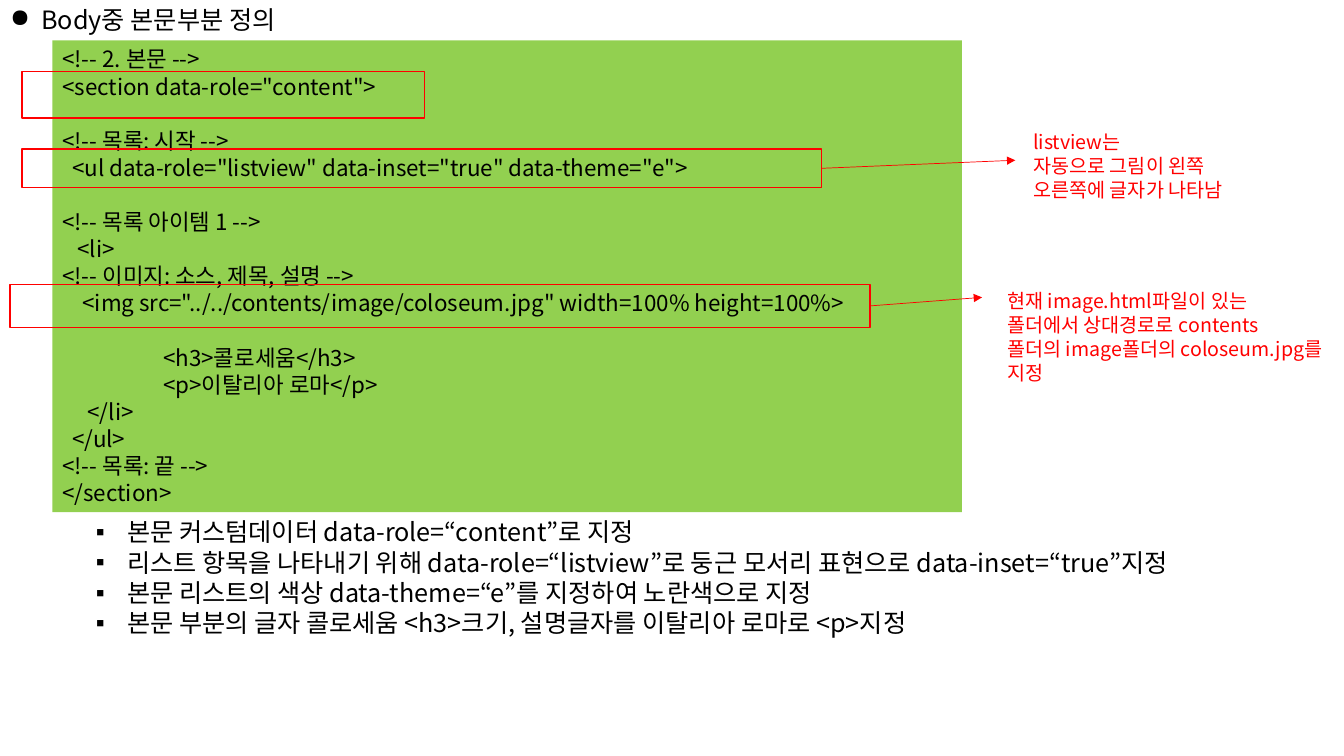
from pptx import Presentation
from pptx.dml.color import RGBColor
from pptx.enum import shapes, text
from pptx.oxml.ns import qn
from pptx.util import Inches, Pt
from lxml import etree

FONT = "Noto Sans CJK KR"
BLACK, RED, GREEN = "000000", "FF0000", "92D050"
LINE_HEIGHT = 1.21
HANGING = 0.31
SPACE_WIDTH = 0.05

# Each line: lines of gap above, indent in inches, wording
CODE = [
    (0, 0, "<!-- 2. 본문 -->"),
    (0, 0, '<section data-role="content">'),
    (1, 0, "<!-- 목록: 시작 -->"),
    (0, 2 * SPACE_WIDTH, '<ul data-role="listview" data-inset="true" data-theme="e">'),
    (1, 0, "<!-- 목록 아이템 1 -->"),
    (0, 3 * SPACE_WIDTH, "<li>"),
    (0, 0, "<!-- 이미지: 소스, 제목, 설명 -->"),
    (0, 4 * SPACE_WIDTH, '<img src="../../contents/image/coloseum.jpg" width=100% height=100%>'),
    (1, 1, "<h3>콜로세움</h3>"),
    (0, 1, "<p>이탈리아 로마</p>"),
    (0, 5 * SPACE_WIDTH, "</li>"),
    (0, 2 * SPACE_WIDTH, "</ul>"),
    (0, 0, "<!-- 목록: 끝 -->"),
    (0, 0, "</section>"),
]
SUMMARY = [
    "본문 커스텀데이터 data-role=“content”로 지정",
    "리스트 항목을 나타내기 위해 data-role=“listview”로 둥근 모서리 표현으로 data-inset=“true”지정",
    "본문 리스트의 색상 data-theme=“e”를 지정하여 노란색으로 지정",
    "본문 부분의 글자 콜로세움 <h3>크기, 설명글자를 이탈리아 로마로 <p>지정",
]
LISTVIEW_NOTE = ["listview는", "자동으로 그림이 왼쪽", "오른쪽에 글자가 나타남"]
IMAGE_NOTE = [
    "현재 image.html파일이 있는",
    "폴더에서 상대경로로 contents",
    "폴더의 image폴더의 coloseum.jpg를",
    "지정",
]


def color(value):
    return RGBColor.from_string(value)


def place(shape, left, top, width, height):
    shape.left, shape.top = Inches(left), Inches(top)
    shape.width, shape.height = Inches(width), Inches(height)


def format_paragraph(paragraph, size, font_color, gap=0, indent=0, bullet=None):
    """Set font, spacing and indent; gap counts lines left free above."""
    font = paragraph.font
    font.name, font.size = FONT, Pt(size)
    font.color.rgb = color(font_color)
    paragraph.alignment = text.PP_ALIGN.LEFT
    paragraph.line_spacing = Pt(size * LINE_HEIGHT)
    paragraph.space_before = Pt(gap * size * LINE_HEIGHT)
    properties = paragraph._p.get_or_add_pPr()
    properties.set("marL", str(Inches(HANGING if bullet else indent)))
    properties.set("indent", str(Inches(-HANGING if bullet else 0)))
    defaults = properties.find(qn("a:defRPr"))
    etree.SubElement(defaults, qn("a:ea"), typeface=FONT)
    if bullet:
        mark = etree.Element(qn("a:buChar"), char=bullet)
        defaults.addprevious(mark)


def write_lines(shape, lines, size, font_color, bullet=None):
    """Fill a shape with (gap, indent, wording) lines."""
    frame = shape.text_frame
    frame.word_wrap = True
    frame.auto_size = text.MSO_AUTO_SIZE.NONE
    frame.vertical_anchor = text.MSO_ANCHOR.TOP
    for number, (gap, indent, wording) in enumerate(lines):
        paragraph = frame.add_paragraph() if number else frame.paragraphs[0]
        paragraph.text = wording
        format_paragraph(paragraph, size, font_color, gap, indent, bullet)


def plain(lines):
    return [(0, 0, line) for line in lines]


def add_rectangle(slide, *box, fill=None, line=None):
    shape = slide.shapes.add_shape(shapes.MSO_SHAPE.RECTANGLE, *map(Inches, box))
    shape.shadow.inherit = False
    if fill:
        shape.fill.solid()
        shape.fill.fore_color.rgb = color(fill)
    else:
        shape.fill.background()
    if line:
        shape.line.color.rgb = color(line)
        shape.line.width = Pt(1)
    else:
        shape.line.fill.background()
    return shape


def add_note(slide, lines, *box):
    note = slide.shapes.add_textbox(*map(Inches, box))
    write_lines(note, plain(lines), 14, RED)


def add_arrow(slide, frame, end_x, end_y):
    """Draw an arrow from the middle of a frame's right side."""
    arrow = slide.shapes.add_connector(
        shapes.MSO_CONNECTOR.STRAIGHT, 0, 0, Inches(end_x), Inches(end_y))
    arrow.begin_connect(frame, 3)
    arrow.line.color.rgb = color(RED)
    arrow.line.width = Pt(0.5)
    etree.SubElement(arrow.line._get_or_add_ln(), qn("a:tailEnd"), type="triangle")
    etree.SubElement(arrow._element.spPr, qn("a:effectLst"))


def main():
    presentation = Presentation()
    presentation.slide_width, presentation.slide_height = Inches(13.33), Inches(7.5)
    slide = presentation.slides.add_slide(presentation.slide_layouts[1])

    title, summary = slide.shapes.title, slide.placeholders[1]
    place(title, 0, -0.01, 3.04, 0.4)
    write_lines(title, plain(["Body중 본문부분 정의"]), 18, BLACK, "●")
    place(summary, 0.85, 5.07, 11.5, 1.31)
    write_lines(summary, plain(SUMMARY), 18, BLACK, "▪")

    code = add_rectangle(slide, 0.52, 0.4, 9.02, 4.68, fill=GREEN)
    write_lines(code, CODE, 16, BLACK)

    add_rectangle(slide, 0.22, 0.71, 3.99, 0.46, line=RED)
    listview_frame = add_rectangle(slide, 0.22, 1.48, 7.93, 0.38, line=RED)
    image_frame = add_rectangle(slide, 0.1, 2.82, 8.53, 0.43, line=RED)

    add_arrow(slide, listview_frame, 10.07, 1.59)
    add_note(slide, LISTVIEW_NOTE, 10.15, 1.24, 2.3, 0.81)
    add_arrow(slide, image_frame, 9.74, 2.95)
    add_note(slide, IMAGE_NOTE, 9.89, 2.82, 3.44, 1.04)

    presentation.save("out.pptx")


if __name__ == "__main__":
    main()
